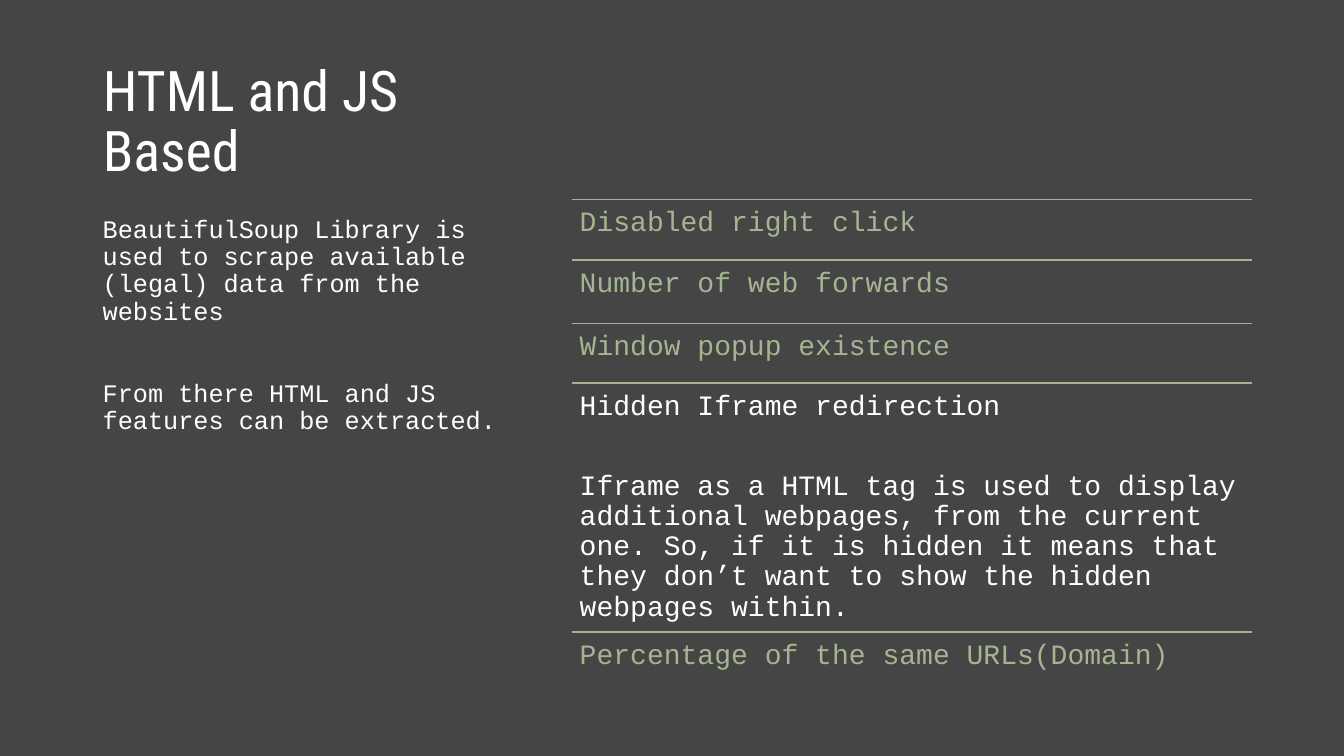
"""Build the slide on HTML and JS based features."""
from lxml import etree
from pptx import Presentation
from pptx.dml.color import RGBColor
from pptx.enum.shapes import MSO_CONNECTOR
from pptx.enum.text import MSO_ANCHOR, PP_ALIGN
from pptx.oxml.ns import qn
from pptx.util import Inches, Pt

LINE = MSO_CONNECTOR.STRAIGHT
MIDDLE, TOP = MSO_ANCHOR.MIDDLE, MSO_ANCHOR.TOP
LEFT = PP_ALIGN.LEFT
GREY = RGBColor(0x45, 0x45, 0x45)
WHITE = RGBColor(0xFF, 0xFF, 0xFF)
GREEN = RGBColor(0xA5, 0xB5, 0x92)
HEAD, MONO = "Roboto Condensed", "Courier New"

TITLE = "HTML and JS Based"
NOTES = [
    "BeautifulSoup Library is used to scrape available (legal) data from the websites",
    "From there HTML and JS features can be extracted.",
]
ROWS = [
    (0.6, GREEN, ["Disabled right click"]),
    (0.63, GREEN, ["Number of web forwards"]),
    (0.59, GREEN, ["Window popup existence"]),
    (2.47, WHITE, [
        "Hidden Iframe redirection",
        "Iframe as a HTML tag is used to display additional webpages, from the "
        "current one. So, if it is hidden it means that they don’t want to show "
        "the hidden webpages within.",
    ]),
    (0.7, GREEN, ["Percentage of the same URLs(Domain)"]),
]
SIDE, SPAN = 0.92, 4.3
LIST, WIDE, START = 5.67, 6.75, 1.98
PAD = Inches(0.08)


def write(frame, lines, font, size, color, gap=0, anchor=TOP):
    frame.word_wrap = True
    frame.vertical_anchor = anchor
    frame.text = "\n".join(lines)
    for i, para in enumerate(frame.paragraphs):
        para.alignment = LEFT
        para.line_spacing = 0.9
        para.space_before = Pt(gap if i else 0)
        for run in para.runs:
            run.font.name = font
            run.font.size = Pt(size)
            run.font.color.rgb = color


def add_box(slide, x, y, w, h):
    return slide.shapes.add_textbox(
        Inches(x), Inches(y), Inches(w), Inches(h)).text_frame


def add_rule(slide, y):
    rule = slide.shapes.add_connector(
        LINE, Inches(LIST), Inches(y), Inches(LIST + WIDE), Inches(y))
    rule.line.color.rgb = GREEN
    rule.line.width = Pt(1)
    etree.SubElement(rule._element.spPr, qn("a:effectLst"))


def main():
    deck = Presentation()
    deck.slide_width, deck.slide_height = Inches(13.33), Inches(7.5)
    slide = deck.slides.add_slide(deck.slide_layouts[5])
    slide.background.fill.solid()
    slide.background.fill.fore_color.rgb = GREY

    title = slide.shapes.title
    title.left, title.top = Inches(SIDE), Inches(0.35)
    title.width, title.height = Inches(SPAN), Inches(1.75)
    write(title.text_frame, [TITLE], HEAD, 40, WHITE, anchor=MIDDLE)

    y = START
    for tall, color, lines in ROWS:
        add_rule(slide, y)
        frame = add_box(slide, LIST, y, WIDE, tall)
        frame.margin_left = frame.margin_right = PAD
        frame.margin_top = frame.margin_bottom = PAD
        write(frame, lines, MONO, 20, color, gap=35.5)
        y += tall

    write(add_box(slide, SIDE, 2.1, SPAN, 4.17), NOTES, MONO, 18, WHITE, gap=39.5)
    deck.save("out.pptx")


if __name__ == "__main__":
    main()
